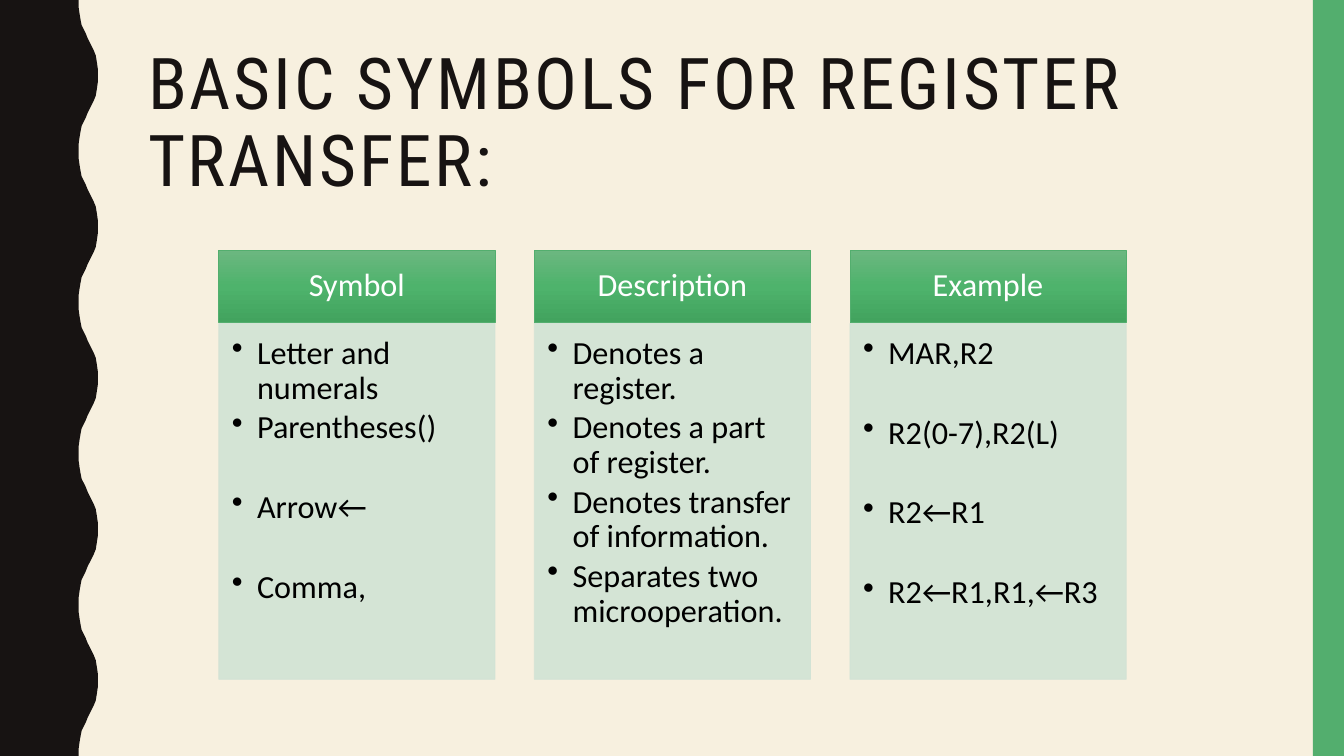
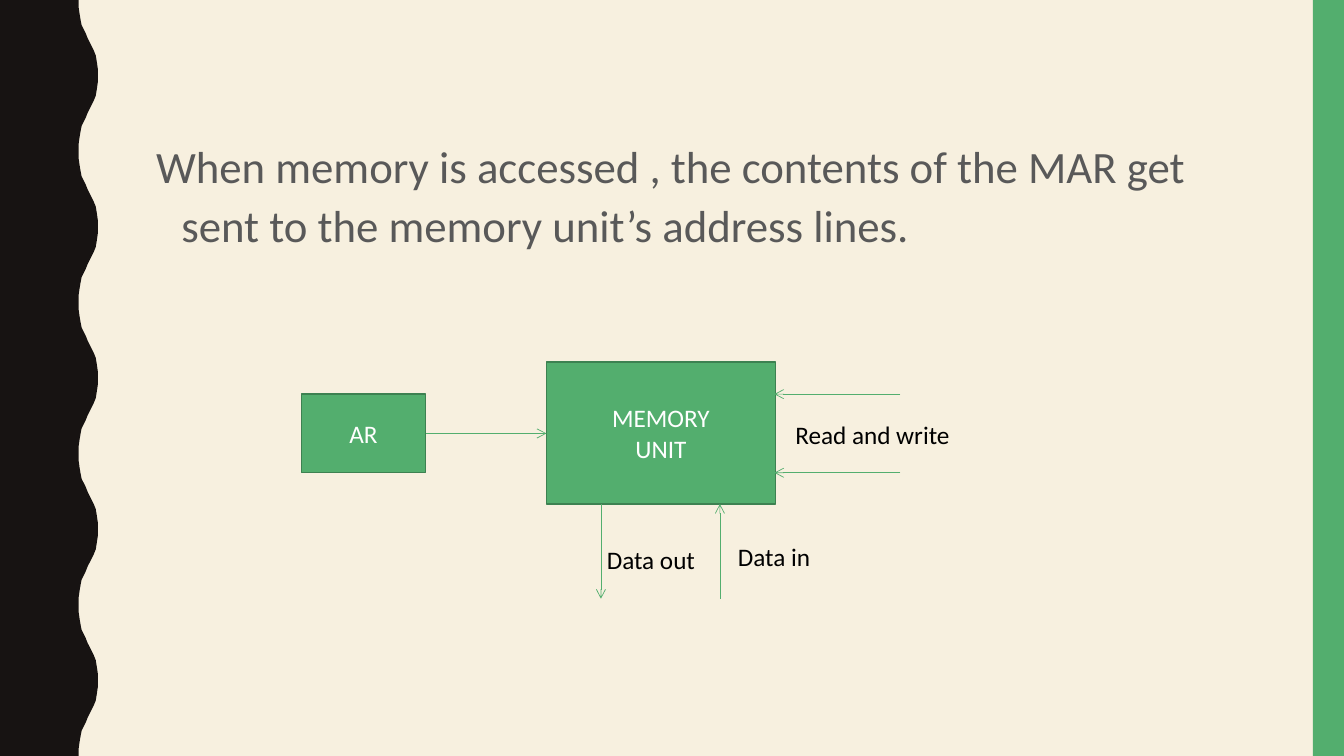
from pptx import Presentation
from pptx import util as u
from pptx.dml.color import RGBColor
from pptx.enum import shapes, text
from pptx.oxml import parse_xml
from pptx.oxml.ns import nsdecls
from lxml import etree

SCALE = 9144  # EMU per px, 100 px to the inch
WIDE, HIGH = 1333, 750


class Theme:
    paper, ink, green, edge = "F7F0DF", "171312", "53AE6E", "3D8151"
    pale, white, black, grey = "D1E3D5", "FFFFFF", "000000", "595959"
    blend = ((0, "6CB780"), (50, "4EB36C"), (100, "42A35E"))
    head, body = "Roboto Condensed", "Calibri"
    title, lead, list, label = 51, 32, 23, 18


TITLE = "BASIC SYMBOLS FOR REGISTER TRANSFER:"
# heading, then each item with the points of space below it
NEAR, FAR = 3.45, 32.15
COLUMNS = (
    ("Symbol", (("Letter and numerals", NEAR), ("Parentheses()", FAR),
                ("Arrow←", FAR), ("Comma,", NEAR))),
    ("Description", (("Denotes a register.", NEAR),
                     ("Denotes a part of register.", NEAR),
                     ("Denotes transfer of information.", NEAR),
                     ("Separates two microoperation.", NEAR))),
    ("Example", (("MAR,R2", FAR), ("R2(0-7),R2(L)", FAR),
                 ("R2←R1", FAR), ("R2←R1,R1,←R3", NEAR))),
)
LEAD = ("When memory is accessed , the contents of the MAR get "
        "sent to the memory unit’s address lines.")
BLOCKS = ((("AR",), (299, 391, 123, 78)),
          (("MEMORY", "UNIT"), (542, 359, 227, 141)))
ARROWS = ((423, 430, 542, 430), (596, 500, 596, 594), (714, 594, 714, 500),
          (893, 391, 768, 391), (893, 469, 768, 469))
LABELS = (("Data in", (722, 532, 120, 40)),
          ("Data out", (592, 535, 120, 40)),
          ("Read and write", (779, 411, 190, 40)))

# left edge of the wave: (across, down) over half a period
HALF = ((0, 0), (0, 7), (1, 14), (2, 20), (3, 25), (5, 29), (7, 33), (9, 38),
        (11, 42), (13, 46), (15, 50), (17, 55), (18, 61), (19, 68), (19, 75))
CREST, PERIOD = 78, 150


def px(*vals):
    return [u.Emu(round(v * SCALE)) for v in vals]


def rgb(code):
    return RGBColor.from_string(code)


def fade(fill, alpha):
    """Set the opacity, in percent, of a solid fill or line fill."""
    for clr in fill.iter("{*}srgbClr"):
        tag = etree.SubElement(clr, clr.tag.replace("srgbClr", "alpha"))
        tag.set("val", str(alpha * 1000))


def blend(shape, stops):
    shape.fill.background()
    gs = "".join(f'<a:gs pos="{pos * 1000}"><a:srgbClr val="{clr}"/></a:gs>'
                 for pos, clr in stops)
    grad = parse_xml(f'<a:gradFill {nsdecls("a")}><a:gsLst>{gs}</a:gsLst>'
                     '<a:lin ang="5400000" scaled="0"/></a:gradFill>')
    old = shape._element.spPr.find("{*}noFill")
    old.getparent().replace(old, grad)


def paint(shape, fill, line=None, width=0.5):
    shape.shadow.inherit = False
    if isinstance(fill, tuple):
        blend(shape, fill)
    else:
        shape.fill.solid()
        shape.fill.fore_color.rgb = rgb(fill)
    if line:
        shape.line.color.rgb = rgb(line)
        shape.line.width = u.Pt(width)
    else:
        shape.line.fill.background()
    return shape


def rect(slide, box, *look):
    shape = slide.shapes.add_shape(shapes.MSO_SHAPE.RECTANGLE, *px(*box))
    return paint(shape, *look)


def write(shape, lines, size, clr, face=Theme.body, ins=(10, 5, 10, 5),
          anchor=text.MSO_ANCHOR.TOP, **form):
    """Fill a shape with one paragraph per line; form holds paragraph values."""
    frame = shape.text_frame
    frame.word_wrap = True
    frame.vertical_anchor = anchor
    for side, gap in zip(("left", "top", "right", "bottom"), px(*ins)):
        setattr(frame, "margin_" + side, gap)
    form = {"alignment": text.PP_ALIGN.LEFT, **form}
    for i, line in enumerate(lines):
        para = frame.paragraphs[0] if i == 0 else frame.add_paragraph()
        for key, val in form.items():
            setattr(para, key, val)
        run = para.add_run()
        run.text = line
        font = {"size": u.Pt(size), "name": face}
        for key, val in font.items():
            setattr(run.font, key, val)
        run.font.color.rgb = rgb(clr)
    return frame.paragraphs


def note(slide, box, *args, **form):
    return write(slide.shapes.add_textbox(*px(*box)), *args, **form)


def hang(para, bullet=None):
    """Give a paragraph a hanging indent, with a bullet if one is named."""
    props = para._p.get_or_add_pPr()
    step = px(25)[0]
    props.set("marL", str(step))
    props.set("indent", str(-step))
    if bullet:
        props.append(parse_xml(f'<a:buChar {nsdecls("a")} char="{bullet}"/>'))


def arrow(slide, ends):
    line = slide.shapes.add_connector(shapes.MSO_CONNECTOR.STRAIGHT, *px(*ends))
    line.line.color.rgb = rgb(Theme.green)
    line.line.width = u.Pt(0.5)
    line.line._get_or_add_ln().append(
        parse_xml(f'<a:tailEnd {nsdecls("a")} type="arrow"/>'))
    line._element.spPr.append(parse_xml(f'<a:effectLst {nsdecls("a")}/>'))


def start(prs):
    """Add a slide with the shared background, wave and side band."""
    slide = prs.slides.add_slide(prs.slide_layouts[6])
    back = slide.background.fill
    back.solid()
    back.fore_color.rgb = rgb(Theme.paper)
    wave = HALF + tuple((x, PERIOD - y) for x, y in HALF[-2::-1])
    pts = [(CREST + x, top + y)
           for top in range(0, HIGH, PERIOD) for x, y in wave]
    pen = slide.shapes.build_freeform(0, 0, scale=SCALE)
    pen.add_line_segments(pts + [(0, HIGH)], close=True)
    paint(pen.convert_to_shape(), Theme.ink)
    rect(slide, (1302, 0, 31, HIGH), Theme.green)
    return slide


def symbols(prs):
    slide = start(prs)
    mid, centre = text.MSO_ANCHOR.MIDDLE, text.PP_ALIGN.CENTER
    title = note(slide, (137, 42, 1113, 163), [TITLE], Theme.title, Theme.ink,
                 face=Theme.head, anchor=mid, line_spacing=0.9)
    title[0].runs[0]._r.get_or_add_rPr().set("spc", "200")
    left, top, wide, head, deep, pitch = 217, 248, 274, 72, 353, 313
    for i, (name, items) in enumerate(COLUMNS):
        x = left + i * pitch
        cap = rect(slide, (x, top, wide, head), Theme.blend, Theme.green)
        write(cap, [name], Theme.list, Theme.white, ins=(18, 10, 18, 10),
              anchor=mid, alignment=centre, line_spacing=0.9)
        card = rect(slide, (x, top + head + 1, wide, deep),
                    Theme.pale, Theme.pale)
        fade(card._element.spPr, 90)
        paras = write(card, [item for item, _ in items], Theme.list,
                      Theme.black, ins=(13, 13, 18, 20), line_spacing=0.9)
        for para, (_, gap) in zip(paras, items):
            para.space_after = u.Pt(gap)
            hang(para, "•")


def memory(prs):
    slide = start(prs)
    lead = note(slide, (145, 127, 1113, 567), [LEAD], Theme.lead, Theme.grey,
                line_spacing=1.1, space_before=u.Pt(7))
    hang(lead[0])
    for lines, box in BLOCKS:
        write(rect(slide, box, Theme.green, Theme.edge, 1), lines, Theme.label,
              Theme.white, anchor=text.MSO_ANCHOR.MIDDLE,
              alignment=text.PP_ALIGN.CENTER)
    for ends in ARROWS:
        arrow(slide, ends)
    for label, box in LABELS:
        note(slide, box, [label], Theme.label, Theme.black)


def main():
    prs = Presentation()
    prs.slide_width, prs.slide_height = px(WIDE, HIGH)
    symbols(prs)
    memory(prs)
    prs.save("out.pptx")


if __name__ == "__main__":
    main()
